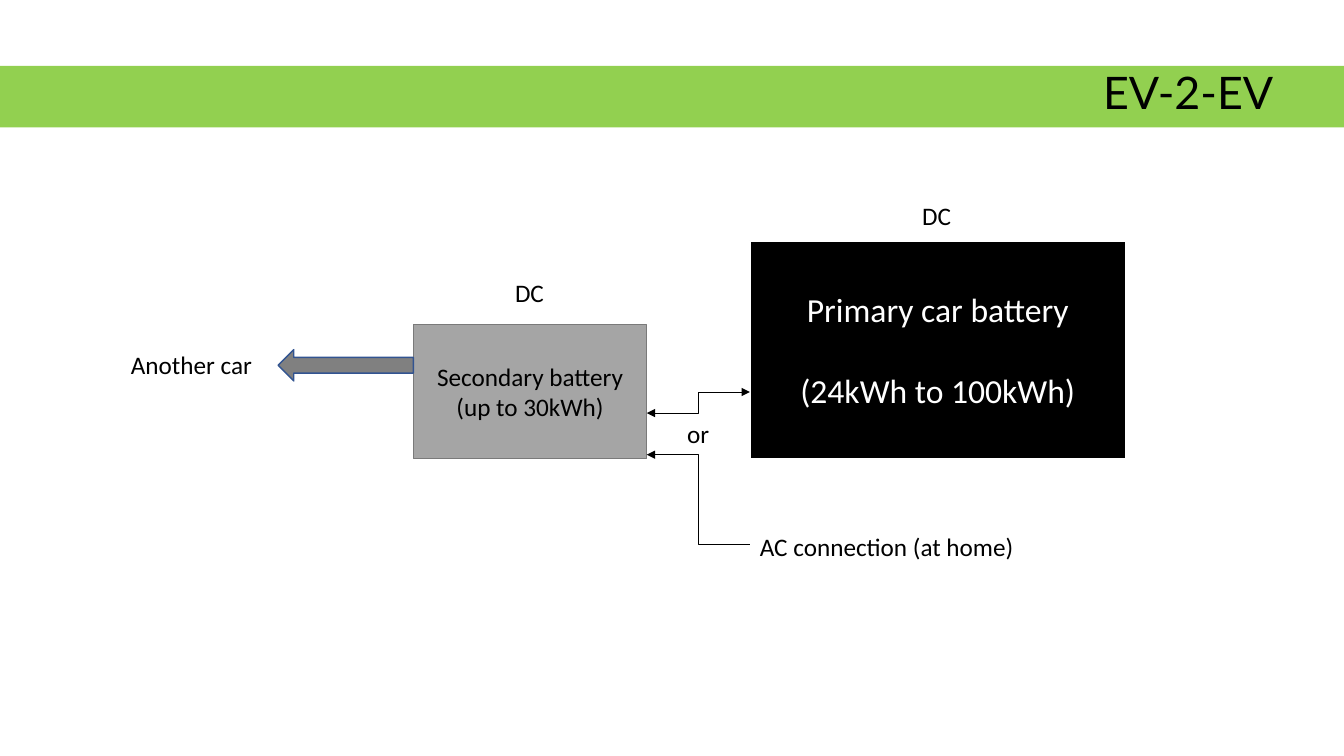
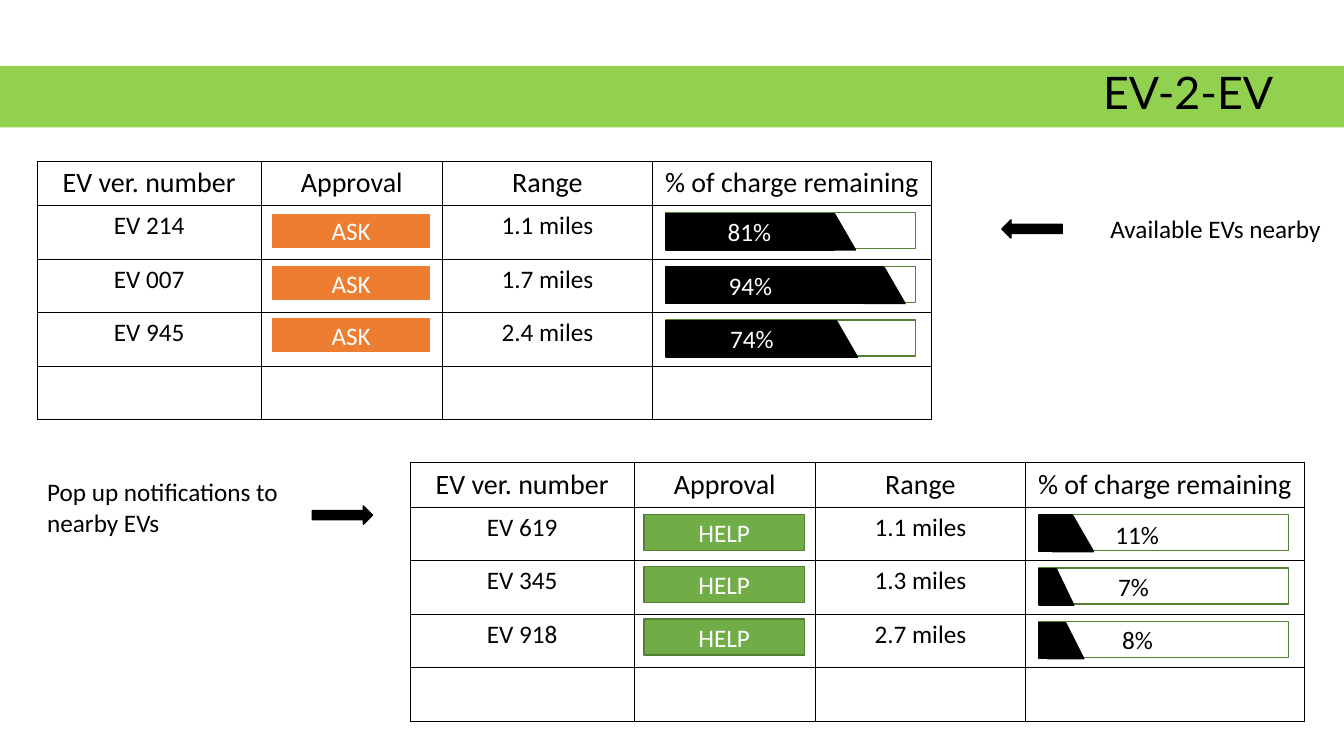
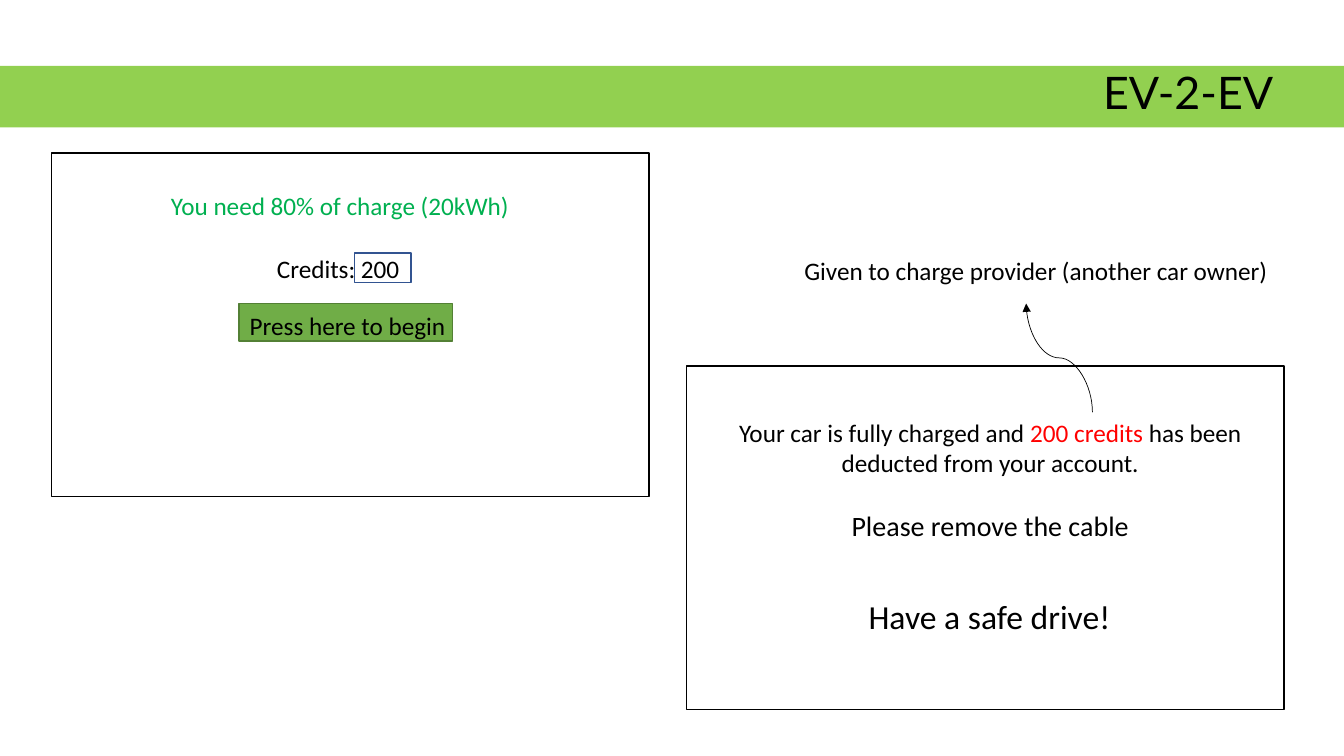
from dataclasses import dataclass

from lxml import etree
from pptx import Presentation
from pptx.dml.color import RGBColor
from pptx.enum.shapes import MSO_CONNECTOR, MSO_SHAPE
from pptx.enum.text import MSO_ANCHOR, MSO_AUTO_SIZE, PP_ALIGN
from pptx.oxml.ns import qn
from pptx.util import Cm, Pt

RECT = MSO_SHAPE.RECTANGLE
TIP = MSO_SHAPE.FLOWCHART_EXTRACT
LEFT_ARROW = MSO_SHAPE.LEFT_ARROW
RIGHT_ARROW = MSO_SHAPE.RIGHT_ARROW
ELBOW = MSO_CONNECTOR.ELBOW
CURVE = MSO_CONNECTOR.CURVE
LEFT, CENTER, RIGHT = PP_ALIGN.LEFT, PP_ALIGN.CENTER, PP_ALIGN.RIGHT
TOP, MIDDLE = MSO_ANCHOR.TOP, MSO_ANCHOR.MIDDLE
NO_FIT = MSO_AUTO_SIZE.NONE


@dataclass(frozen=True)
class Theme:
    black: str = "000000"
    white: str = "FFFFFF"
    band: str = "92D050"
    battery: str = "A5A5A5"
    battery_line: str = "7A7A7A"
    arrow: str = "808080"
    blue: str = "325491"
    ask: str = "ED7D31"
    help: str = "70AD47"
    dark_green: str = "538035"
    need: str = "00B050"
    red: str = "FF0000"
    font: str = "Calibri"
    title_font: str = "Lato"
    title: int = 32
    large: int = 24
    medium: int = 20
    body: int = 18


T = Theme()


@dataclass(frozen=True)
class Box:
    x: float
    y: float
    w: float
    h: float


@dataclass(frozen=True)
class Run:
    text: str
    color: str = T.black


@dataclass(frozen=True)
class Para:
    runs: tuple[Run, ...]
    size: int = T.body
    before: int = 0


@dataclass(frozen=True)
class Style:
    fill: str | None = None
    line: str | None = None
    width: float = 1


@dataclass(frozen=True)
class Car:
    name: str
    distance: str
    charge: str
    bar: float
    tip: float
    label_left: float


@dataclass(frozen=True)
class Fleet:
    x: float
    y: float
    action: str
    button: Style
    label_in_bar: bool
    cars: tuple[Car, ...]


SLIDE_W, SLIDE_H = 33.87, 19.05
BAND = Box(0, 1.66, SLIDE_W, 1.55)
TITLE = Box(27.53, 1.65, 4.83, 1.55)
LABEL_H = 1.02
HEADERS = ("EV ver. number", "Approval", "Range", "% of charge remaining")
COLUMNS = (5.64, 4.57, 5.29, 7.03)
HEADER_H, ROW_H, EMPTY_ROWS = 1.12, 1.35, 1
BUTTON_PITCH = 1.32
SOLID = Style(T.black, T.black)
OUTLINE = Style(line=T.black)
GAUGE = Style(line=T.dark_green)
ASK = Style(T.ask, T.white, 1.5)
HELP = Style(T.help, T.dark_green)

FLEETS = (
    Fleet(0.94, 4.06, "ASK", ASK, True, (
        Car("EV 214", "1.1 miles", "81%", 4.24, 1.04, 1.56),
        Car("EV 007", "1.7 miles", "94%", 5.49, 1.04, 1.58),
        Car("EV 945", "2.4 miles", "74%", 4.29, 1.04, 1.62),
    )),
    Fleet(10.34, 11.66, "HELP", HELP, False, (
        Car("EV 619", "1.1 miles", "11%", 0.84, 1.04, 1.68),
        Car("EV 345", "1.3 miles", "7%", 0.43, 0.86, 1.75),
        Car("EV 918", "2.7 miles", "8%", 0.66, 0.91, 1.85),
    )),
)


def para(text: str, color: str = T.black, size: int = T.body, before: int = 0) -> Para:
    return Para((Run(text, color),), size, before)


def write(tf, paras: tuple[Para, ...], align=LEFT, font: str = T.font) -> None:
    for i, item in enumerate(paras):
        p = tf.add_paragraph() if i else tf.paragraphs[0]
        p.alignment = align
        p.space_before = Pt(item.before)
        for part in item.runs:
            r = p.add_run()
            r.text = part.text
            r.font.name = font
            r.font.size = Pt(item.size)
            r.font.bold = False
            r.font.color.rgb = RGBColor.from_string(part.color)


def place(box: Box) -> tuple[Cm, Cm, Cm, Cm]:
    return Cm(box.x), Cm(box.y), Cm(box.w), Cm(box.h)


def add_block(s, box: Box, style: Style, paras: tuple[Para, ...] = (),
              kind=RECT, align=CENTER):
    sp = s.shapes.add_shape(kind, *place(box))
    sp.shadow.inherit = False
    if style.fill:
        sp.fill.solid()
        sp.fill.fore_color.rgb = RGBColor.from_string(style.fill)
    else:
        sp.fill.background()
    if style.line:
        sp.line.color.rgb = RGBColor.from_string(style.line)
        sp.line.width = Pt(style.width)
    else:
        sp.line.fill.background()
    sp.text_frame.vertical_anchor = MIDDLE
    write(sp.text_frame, paras, align)
    return sp


def add_label(s, box: Box, *paras: Para, align=LEFT, wrap: bool = False) -> None:
    tf = s.shapes.add_textbox(*place(box)).text_frame
    tf.word_wrap = wrap
    write(tf, paras, align)


def add_link(s, kind, start: tuple[float, float], end: tuple[float, float],
             both: bool = False, upright: bool = False) -> None:
    if upright:
        cx, cy = (start[0] + end[0]) / 2, (start[1] + end[1]) / 2
        start, end = ((cx - (y - cy), cy + (x - cx)) for x, y in (start, end))
    link = s.shapes.add_connector(kind, *(Cm(v) for v in (*start, *end)))
    link.line.color.rgb = RGBColor.from_string(T.black)
    link.line.width = Pt(0.5)
    props = link.element.spPr
    if upright:
        props.find(qn("a:xfrm")).set("rot", "16200000")
    ln = props.find(qn("a:ln"))
    for tag in ("a:headEnd", "a:tailEnd") if both else ("a:tailEnd",):
        etree.SubElement(ln, qn(tag), type="triangle")
    etree.SubElement(props, qn("a:effectLst"))


def add_slide(prs):
    s = prs.slides.add_slide(prs.slide_layouts[5])
    title = s.shapes.title
    title.element.addprevious(add_block(s, BAND, Style(T.band)).element)
    title.left, title.top, title.width, title.height = place(TITLE)
    tf = title.text_frame
    tf.auto_size = NO_FIT
    tf.vertical_anchor = TOP
    write(tf, (para("EV-2-EV", size=T.title),), CENTER, T.title_font)
    tf.paragraphs[0].line_spacing = 0.9
    return s


def frame_cell(cell) -> None:
    props = cell._tc.get_or_add_tcPr()
    for side in ("a:lnL", "a:lnR", "a:lnT", "a:lnB"):
        ln = etree.SubElement(props, qn(side), w=str(Pt(1)))
        fill = etree.SubElement(ln, qn("a:solidFill"))
        etree.SubElement(fill, qn("a:srgbClr"), val=T.black)
    cell.fill.background()


def add_gauge(s, car: Car, x: float, y: float, label_y: float, label_in_bar: bool) -> None:
    add_block(s, Box(x, y, 6.3, 0.91), GAUGE)
    add_block(s, Box(x + car.bar + 0.02 - car.tip / 2, y + 0.04, car.tip, 0.9), SOLID, kind=TIP)
    bar = add_block(s, Box(x, y + 0.02, car.bar, 0.92), SOLID)
    if label_in_bar:
        bar.text_frame.margin_left = Cm(car.label_left)
        write(bar.text_frame, (para(car.charge, T.white),))
    else:
        add_label(s, Box(x + car.label_left, label_y, 1.7, LABEL_H), para(car.charge), wrap=True)


def add_fleet(s, fleet: Fleet) -> None:
    rows = [HEADERS, *((c.name, "", c.distance, "") for c in fleet.cars)]
    rows += [("",) * len(HEADERS)] * EMPTY_ROWS
    heights = [HEADER_H] + [ROW_H] * (len(rows) - 1)
    box = Box(fleet.x, fleet.y, sum(COLUMNS), sum(heights))
    table = s.shapes.add_table(len(rows), len(HEADERS), *place(box)).table
    table.first_row = table.horz_banding = False
    for column, width in zip(table.columns, COLUMNS):
        column.width = Cm(width)
    for i, texts in enumerate(rows):
        table.rows[i].height = Cm(heights[i])
        for j, text in enumerate(texts):
            cell = table.cell(i, j)
            frame_cell(cell)
            if text:
                size = T.body if i else T.medium
                write(cell.text_frame, (para(text, size=size),), CENTER)
    for i, car in enumerate(fleet.cars):
        row_y = fleet.y + HEADER_H + 0.18
        button_y = row_y + i * BUTTON_PITCH
        add_block(s, Box(fleet.x + 5.89, button_y, 4.04, 0.91), fleet.button,
                  (para(fleet.action, T.white),))
        add_gauge(s, car, fleet.x + 15.84, row_y + i * ROW_H, button_y, fleet.label_in_bar)


def build_batteries(prs) -> None:
    s = add_slide(prs)
    add_block(s, Box(10.42, 8.18, 5.88, 3.38), Style(T.battery, T.battery_line),
              (para("Secondary battery"), para("(up to 30kWh)")))
    add_block(s, Box(18.9, 6.07, 9.47, 5.49), Style(T.black, T.white, 1.5),
              (para("Primary car battery", T.white, T.large),
               para("(24kWh to 100kWh)", T.white, T.large, 29)))
    add_link(s, ELBOW, (16.3, 10.41), (18.9, 9.88), both=True)
    add_link(s, ELBOW, (18.9, 13.72), (16.3, 11.46))
    add_block(s, Box(7.01, 8.81, 3.41, 0.79), Style(T.arrow, T.blue), kind=LEFT_ARROW)
    for text, x, y, w in (
        ("or", 17.07, 10.41, 1.07),
        ("AC connection (at home)", 18.9, 13.26, 6.99),
        ("Another car", 3.05, 8.69, 3.61),
        ("DC", 12.73, 6.86, 1.24),
        ("DC", 22.99, 4.93, 1.24),
    ):
        add_label(s, Box(x, y, w, LABEL_H), para(text))


def build_fleets(prs) -> None:
    s = add_slide(prs)
    for fleet in FLEETS:
        add_fleet(s, fleet)
    add_label(s, Box(0.94, 11.89, 6.55, 1.8), para("Pop up notifications to"), para("nearby EVs"))
    add_block(s, Box(7.87, 12.75, 1.52, 0.46), SOLID, kind=RIGHT_ARROW)
    add_label(s, Box(23.83, 5.26, 9.7, LABEL_H), para("Available EVs nearby"),
              align=RIGHT, wrap=True)
    add_block(s, Box(25.25, 5.54, 1.52, 0.46), SOLID, kind=LEFT_ARROW)


def build_credits(prs) -> None:
    s = add_slide(prs)
    for x, y in ((1.3, 3.86), (17.3, 9.22)):
        add_block(s, Box(x, y, 15.06, 8.66), OUTLINE)
    add_label(s, Box(4.06, 4.67, 9.14, LABEL_H), para("You need 80% of charge (20kWh)", T.need))
    add_label(s, Box(6.73, 6.25, 3.63, LABEL_H), para("Credits: 200"))
    add_block(s, Box(8.94, 6.38, 1.42, 0.74), Style(line=T.blue))
    button = add_block(s, Box(6.02, 7.65, 5.38, 0.94), HELP, (para("Press here to begin"),))
    tf = button.text_frame
    tf.word_wrap = False
    tf.margin_left, tf.margin_right = Cm(0.1), Cm(0)
    tf.margin_top, tf.margin_bottom = Cm(0.15), Cm(0)
    add_label(s, Box(18.26, 10.39, 13.39, 3.43),
              Para((Run("Your car is fully charged and "), Run("200 credits ", T.red),
                    Run("has been deducted from your account."))),
              para("Please remove the cable", size=T.medium, before=22),
              align=CENTER, wrap=True)
    add_label(s, Box(21.64, 14.88, 6.68, 1.27), para("Have a safe drive!", size=T.large))
    add_link(s, CURVE, (27.53, 10.39), (25.86, 7.65), upright=True)
    add_label(s, Box(20.02, 6.3, 12.34, LABEL_H),
              para("Given to charge provider (another car owner)"))


def main() -> None:
    prs = Presentation()
    prs.slide_width, prs.slide_height = Cm(SLIDE_W), Cm(SLIDE_H)
    build_batteries(prs)
    build_fleets(prs)
    build_credits(prs)
    prs.save("out.pptx")


if __name__ == "__main__":
    main()
